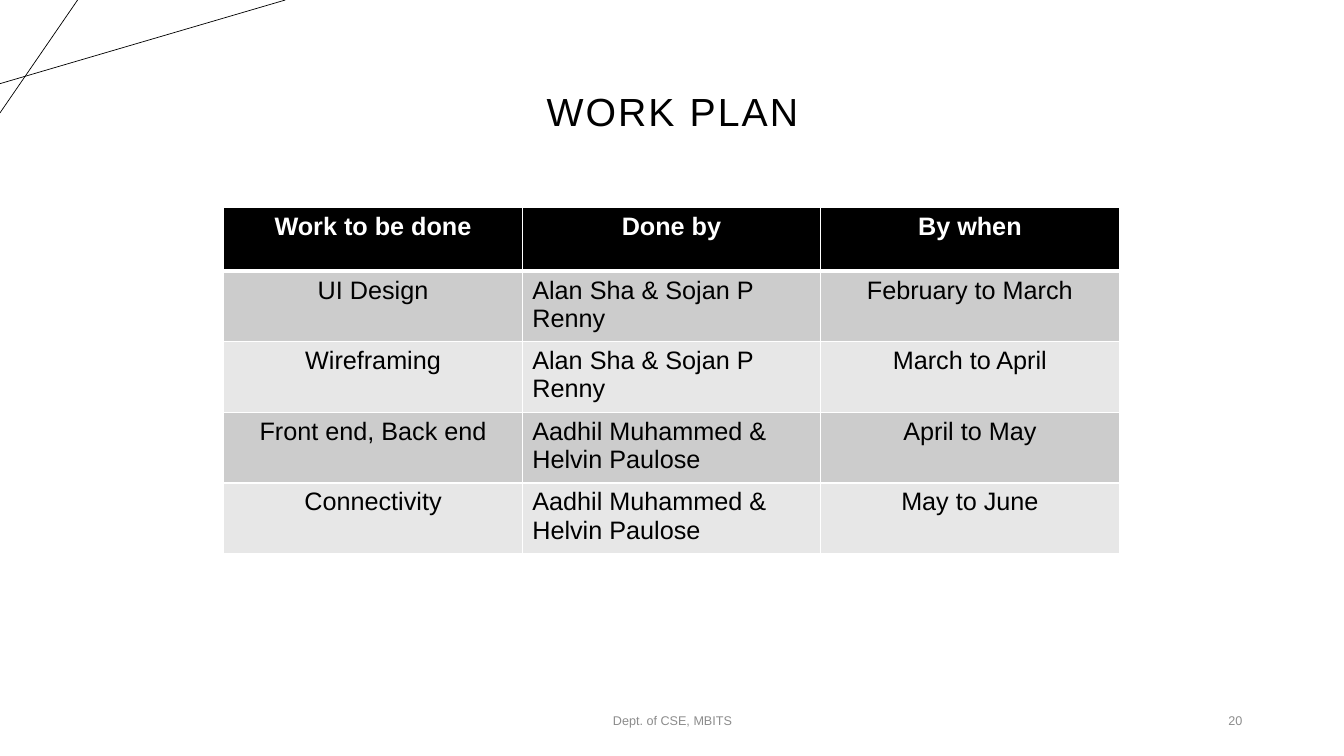
from pptx import Presentation
from pptx import util as u
from pptx.dml.color import RGBColor
from pptx.enum import shapes, text
from pptx.oxml import ns, xmlchemy as xml

BLACK = RGBColor(0x00, 0x00, 0x00)
WHITE = RGBColor(0xFF, 0xFF, 0xFF)
GREY = RGBColor(0x8C, 0x8C, 0x8C)
DARK = RGBColor(0xCC, 0xCC, 0xCC)
LIGHT = RGBColor(0xE7, 0xE7, 0xE7)
LEFT, MID, RIGHT = text.PP_ALIGN.LEFT, text.PP_ALIGN.CENTER, text.PP_ALIGN.RIGHT

PLAN = [
    ("Work to be done", "Done by", "By when"),
    ("UI Design", "Alan Sha & Sojan P Renny", "February to March"),
    ("Wireframing", "Alan Sha & Sojan P Renny", "March to April"),
    ("Front end, Back end", "Aadhil Muhammed & Helvin Paulose", "April to May"),
    ("Connectivity", "Aadhil Muhammed & Helvin Paulose", "May to June"),
]


def write(frame, words, face="Arial", size=18, color=BLACK, bold=False,
          align=MID, track=0, space=1.0):
    para = frame.paragraphs[0]
    para.alignment = align
    para.line_spacing = space
    run = para.add_run()
    run.text = words
    run.font.name = face
    run.font.size = u.Pt(size)
    run.font.bold = bold
    run.font.color.rgb = color
    if track:
        run.font._element.set("spc", str(int(track * 100)))


def edge(cell, side, width):
    props = cell._tc.get_or_add_tcPr()
    line = xml.OxmlElement(f"a:{side}")
    line.set("w", str(u.Pt(width)))
    fill = xml.OxmlElement("a:solidFill")
    tint = xml.OxmlElement("a:srgbClr")
    tint.set("val", str(WHITE))
    fill.append(tint)
    line.append(fill)
    props.append(line)


class Deck:
    def __init__(self, wide, high):
        self.file = Presentation()
        self.file.slide_width = u.Inches(wide)
        self.file.slide_height = u.Inches(high)
        self.slide = self.file.slides.add_slide(self.file.slide_layouts[5])

    def line(self, *ends):
        link = self.slide.shapes.add_connector(
            shapes.MSO_CONNECTOR.STRAIGHT, *map(u.Inches, ends))
        link.line.color.rgb = BLACK
        link.line.width = u.Pt(0.5)
        link._element.find(ns.qn("p:spPr")).append(xml.OxmlElement("a:effectLst"))

    def title(self, words, *box):
        head = self.slide.shapes.title
        head.left, head.top, head.width, head.height = map(u.Inches, box)
        head.text_frame.vertical_anchor = text.MSO_ANCHOR.MIDDLE
        write(head.text_frame, words, size=28, track=1.5, space=0.9)

    def label(self, words, *box, align=MID):
        frame = self.slide.shapes.add_textbox(*map(u.Inches, box)).text_frame
        frame.word_wrap = True
        frame.vertical_anchor = text.MSO_ANCHOR.MIDDLE
        write(frame, words, size=9, color=GREY, align=align)

    def table(self, rows, *box):
        grid = self.slide.shapes.add_table(
            len(rows), len(rows[0]), *map(u.Inches, box)).table
        grid.horz_banding = False
        for r, row in enumerate(rows):
            top = r == 0
            shade = BLACK if top else DARK if r % 2 else LIGHT
            for c, words in enumerate(row):
                cell = grid.cell(r, c)
                for side in ("lnL", "lnR", "lnT", "lnB"):
                    thick = (top and side == "lnB") or (r == 1 and side == "lnT")
                    edge(cell, side, 3 if thick else 1)
                cell.fill.solid()
                cell.fill.fore_color.rgb = shade
                write(cell.text_frame, words, bold=top,
                      color=WHITE if top else BLACK,
                      align=LEFT if c == 1 and not top else MID)


def main():
    deck = Deck(13.33, 7.5)
    deck.line(0, 0.83, 2.83, 0)
    deck.line(0.77, 0, 0, 1.12)
    deck.title("WORK PLAN", 0.92, 0.4, 11.5, 1.45)
    deck.label("Dept. of CSE, MBITS", 4.42, 6.95, 4.5, 0.4)
    deck.label("20", 9.42, 6.95, 3, 0.4, align=RIGHT)
    deck.table(PLAN, 2.22, 2.06, 8.88, 3.15)
    deck.file.save("out.pptx")


if __name__ == "__main__":
    main()
